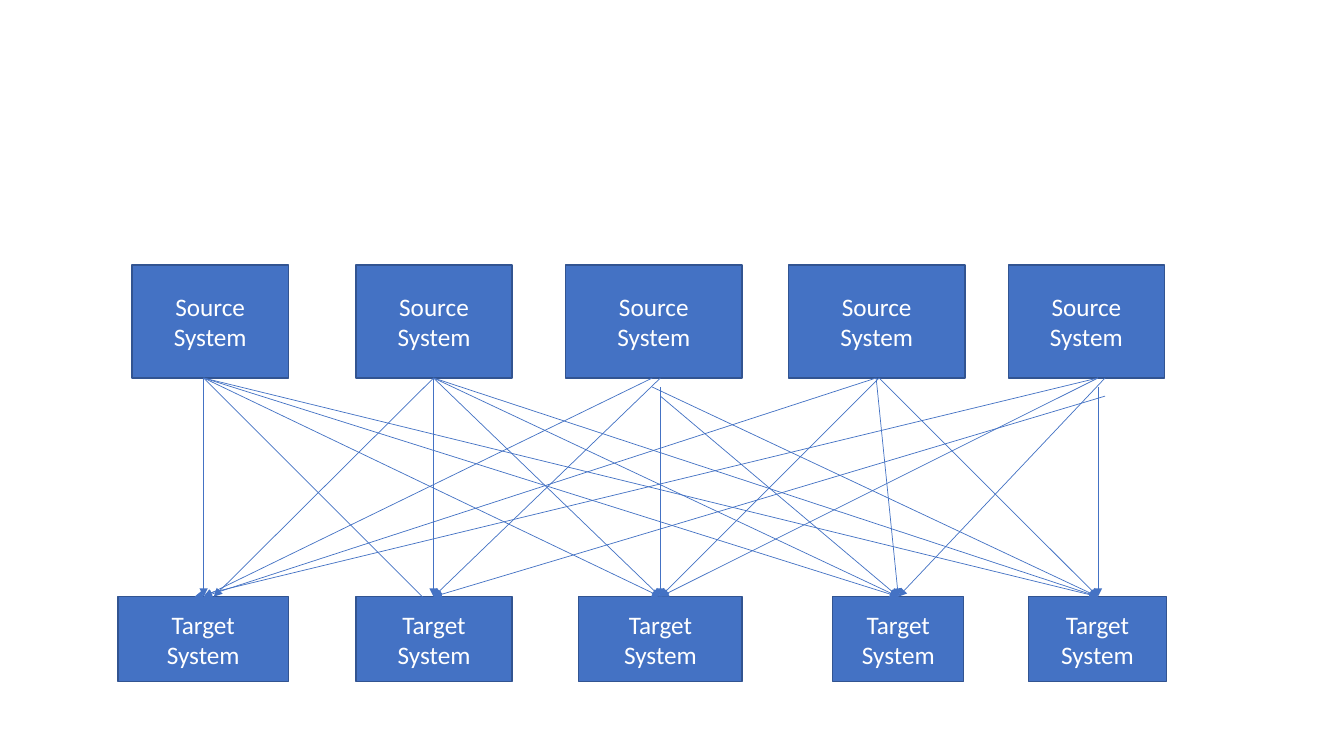
from dataclasses import dataclass
from typing import NamedTuple

import lxml.etree
import pptx
import pptx.util
import pptx.dml.color
import pptx.enum.shapes
import pptx.enum.text
import pptx.oxml.ns
import pptx.presentation
import pptx.slide

Inches = pptx.util.Inches
Pt = pptx.util.Pt
RGB = pptx.dml.color.RGBColor
qn = pptx.oxml.ns.qn


@dataclass(frozen=True)
class Theme:
    fill: RGB = RGB(0x44, 0x72, 0xC4)
    border: RGB = RGB(0x32, 0x54, 0x91)
    text: RGB = RGB(0xFF, 0xFF, 0xFF)
    font: str = "Calibri"
    text_size: float = 18
    border_width: float = 1
    flow_width: float = 0.5


class Row(NamedTuple):
    role: str
    top: float
    height: float
    spans: tuple[tuple[float, float], ...]  # left and width of each system


class Flow(NamedTuple):
    start_x: float
    end_x: float
    drop: float = 0  # gap between the source box and the start
    overlap: float = 0  # reach into the target box


THEME = Theme()

# The two rows of systems
SOURCES = Row("Source", 2.63, 1.12,
              ((1.31, 1.55), (3.53, 1.55), (5.61, 1.75), (7.82, 1.75), (10, 1.55)))
TARGETS = Row("Target", 5.92, 0.84,
              ((1.17, 1.69), (3.53, 1.55), (5.74, 1.62), (8.26, 1.3), (10.2, 1.37)))

# Arrival points on the targets, and the flows of each source in turn
T1, T2, T3, T4, T5 = 2.02, 4.3, 6.55, 8.91, 10.89
FLOWS = (
    Flow(2.02, T1), Flow(2.02, 4.44, overlap=0.25), Flow(2.02, T3),
    Flow(2.02, T4), Flow(2.02, T5),
    Flow(4.3, 2.12), Flow(4.3, T2), Flow(4.3, T3), Flow(4.3, T4), Flow(4.3, T5),
    Flow(6.47, T1), Flow(6.55, T2), Flow(6.55, T3, drop=0.09),
    Flow(6.55, T4, drop=0.18), Flow(6.47, T5, drop=0.09),
    Flow(8.72, T3), Flow(8.69, T1), Flow(8.69, T4), Flow(8.72, T5),
    Flow(10.89, 1.93), Flow(10.96, T2, drop=0.18), Flow(10.89, T3),
    Flow(10.96, T4), Flow(10.89, T5, drop=0.09),
)


def draw_row(slide: pptx.slide.Slide, row: Row) -> None:
    for left, width in row.spans:
        system = slide.shapes.add_shape(
            pptx.enum.shapes.MSO_SHAPE.RECTANGLE,
            Inches(left), Inches(row.top), Inches(width), Inches(row.height))
        system.shadow.inherit = False
        system.fill.solid()
        system.fill.fore_color.rgb = THEME.fill
        system.line.color.rgb = THEME.border
        system.line.width = Pt(THEME.border_width)

        label = system.text_frame
        label.word_wrap = True
        label.vertical_anchor = pptx.enum.text.MSO_ANCHOR.MIDDLE
        for index, word in enumerate((row.role, "System")):
            line = label.add_paragraph() if index else label.paragraphs[0]
            line.alignment = pptx.enum.text.PP_ALIGN.CENTER
            run = line.add_run()
            run.text = word
            run.font.name = THEME.font
            run.font.size = Pt(THEME.text_size)
            run.font.color.rgb = THEME.text


def draw_flow(slide: pptx.slide.Slide, flow: Flow) -> None:
    start_y = SOURCES.top + SOURCES.height + flow.drop
    end_y = TARGETS.top + flow.overlap
    arrow = slide.shapes.add_connector(
        pptx.enum.shapes.MSO_CONNECTOR.STRAIGHT,
        Inches(flow.start_x), Inches(start_y), Inches(flow.end_x), Inches(end_y))
    arrow.line.color.rgb = THEME.fill
    arrow.line.width = Pt(THEME.flow_width)
    # Arrowhead at the target, and no shadow
    properties = arrow.element.find(qn("p:spPr"))
    outline = properties.find(qn("a:ln"))
    lxml.etree.SubElement(outline, qn("a:tailEnd"), type="triangle")
    lxml.etree.SubElement(properties, qn("a:effectLst"))


def build() -> pptx.presentation.Presentation:
    deck = pptx.Presentation()
    deck.slide_width, deck.slide_height = Inches(13.33), Inches(7.5)
    slide = deck.slides.add_slide(deck.slide_layouts[6])
    for row in (SOURCES, TARGETS):
        draw_row(slide, row)
    for flow in FLOWS:
        draw_flow(slide, flow)
    return deck


build().save("out.pptx")
